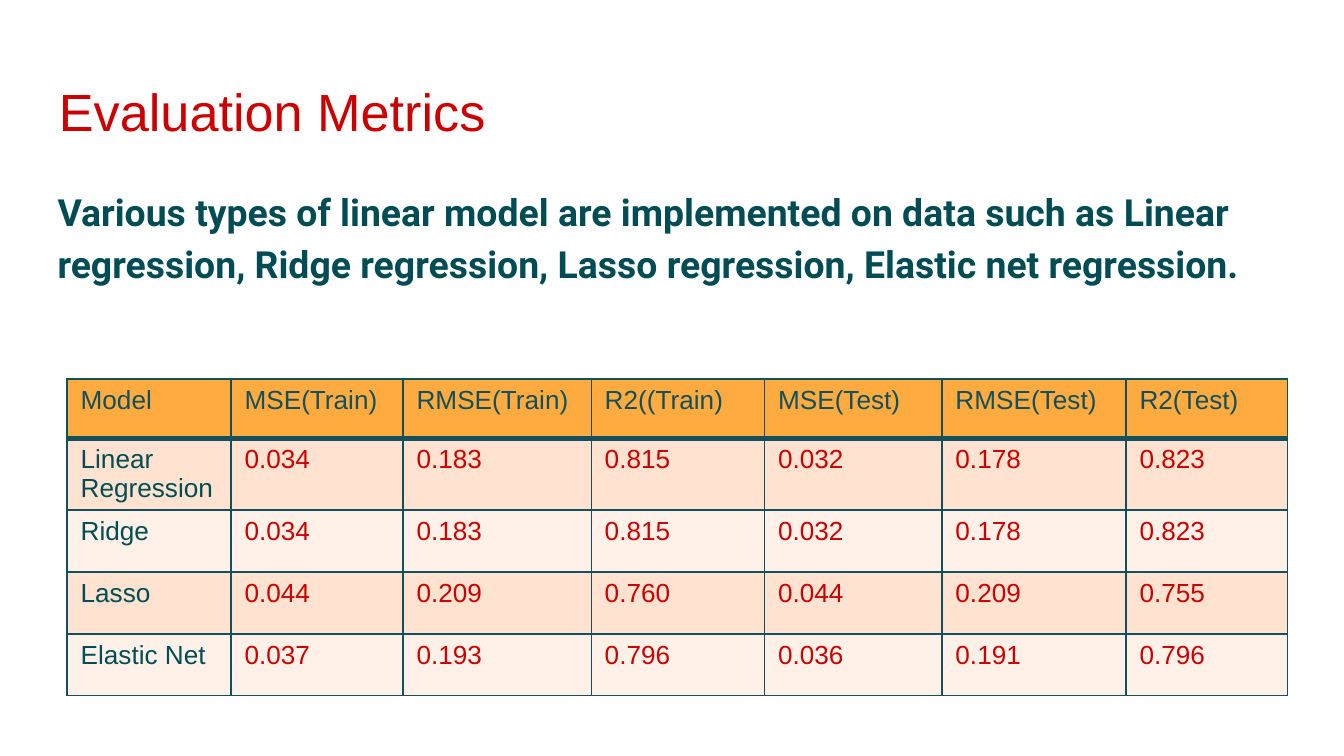
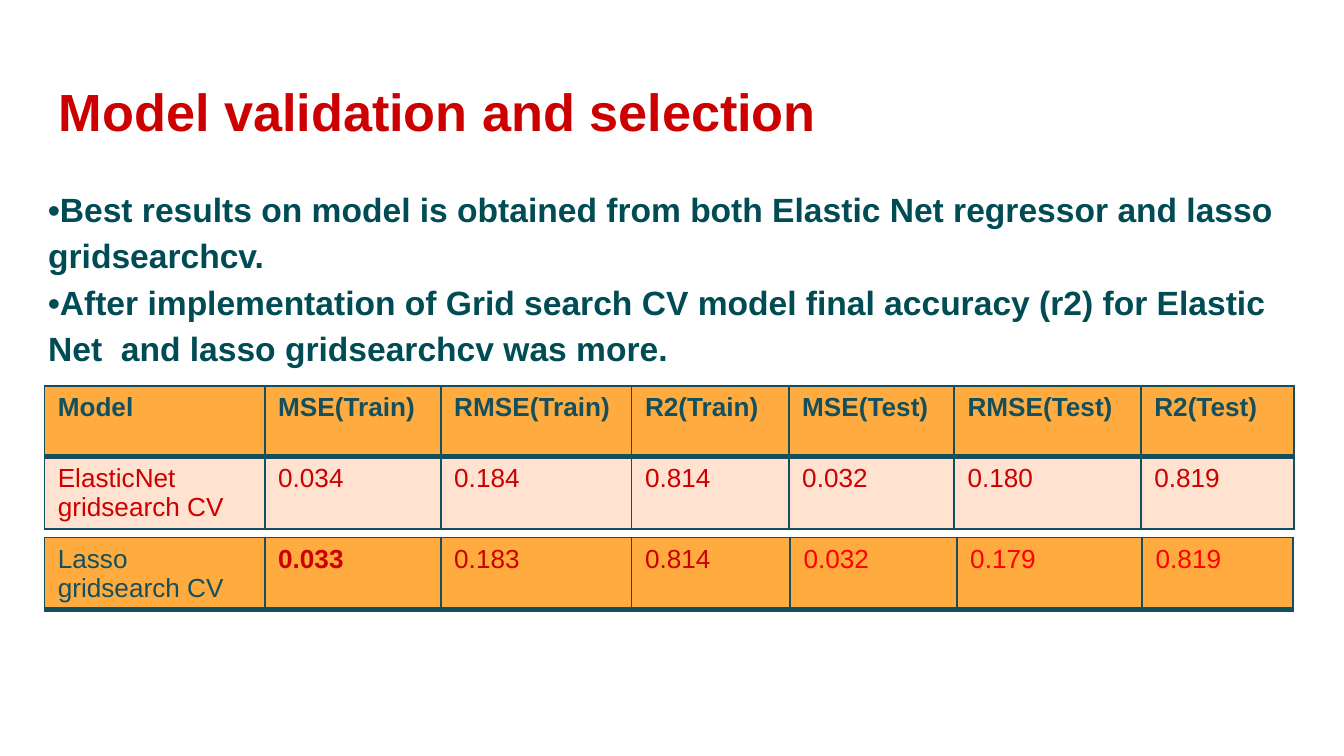
from lxml import etree
from pptx import Presentation
from pptx.dml.color import RGBColor
from pptx.enum.text import MSO_ANCHOR
from pptx.oxml.ns import qn
from pptx.util import Inches, Pt

COLORS = {
    "background": "FFFFFF",
    "title": "CC0000",
    "body": "004C54",
    "border": "134F5C",
    "header": "FFAB40",
    "dark_band": "FFE2CF",
    "light_band": "FFF1E8",
    "highlight": "FF0000",
}
BORDER_TAGS = ("a:lnL", "a:lnR", "a:lnT", "a:lnB")
THIN, THICK = 1, 3

METRICS = ["MSE(Train)", "RMSE(Train)", "R2(Train)", "MSE(Test)", "RMSE(Test)", "R2(Test)"]
MODEL_HEADER = ["Model", "MSE(Train)", "RMSE(Train)", "R2((Train)", *METRICS[3:]]
MODEL_ROWS = [
    ["Linear Regression", "0.034", "0.183", "0.815", "0.032", "0.178", "0.823"],
    ["Ridge", "0.034", "0.183", "0.815", "0.032", "0.178", "0.823"],
    ["Lasso", "0.044", "0.209", "0.760", "0.044", "0.209", "0.755"],
    ["Elastic Net", "0.037", "0.193", "0.796", "0.036", "0.191", "0.796"],
]
ELASTIC_NET_ROW = ["ElasticNet\ngridsearch CV", "0.034", "0.184", "0.814", "0.032", "0.180", "0.819"]
LASSO_ROW = ["Lasso gridsearch CV", "0.033", "0.183", "0.814", "0.032", "0.179", "0.819"]


def rgb(name):
    return RGBColor.from_string(COLORS[name])


def format_text(text_frame, size, color, bold=False, font="Arial"):
    for paragraph in text_frame.paragraphs:
        for run in paragraph.runs:
            run.font.name = font
            run.font.size = Pt(size)
            run.font.bold = bold
            run.font.color.rgb = rgb(color)


def add_text(slide, box, text, size, color, bold=False, font="Arial", line_spacing=None):
    shape = slide.shapes.add_textbox(*map(Inches, box))
    text_frame = shape.text_frame
    text_frame.word_wrap = True
    text_frame.vertical_anchor = MSO_ANCHOR.TOP
    text_frame.margin_left = text_frame.margin_right = Inches(0.1)
    text_frame.margin_top = text_frame.margin_bottom = Inches(0.1)
    text_frame.text = text
    format_text(text_frame, size, color, bold, font)
    for paragraph in text_frame.paragraphs:
        paragraph.line_spacing = line_spacing
    return shape


def add_title(slide, text, bold=False):
    add_text(slide, (0.34, 0.49, 9.32, 0.63), text, 28, "title", bold)


def add_body(slide, box, text, size, font="Arial"):
    shape = add_text(slide, box, text, size, "body", True, font, 1.15)
    for paragraph in shape.text_frame.paragraphs:
        properties = paragraph._p.get_or_add_pPr()
        properties.set("marL", str(Inches(0.12)))
        properties.set("indent", "0")


def set_borders(cell, top, bottom):
    properties = cell._tc.get_or_add_tcPr()
    for position, (tag, width) in enumerate(zip(BORDER_TAGS, (THIN, THIN, top, bottom))):
        line = etree.Element(qn(tag), w=str(Pt(width)))
        fill = etree.SubElement(line, qn("a:solidFill"))
        etree.SubElement(fill, qn("a:srgbClr"), val=COLORS["border"])
        properties.insert(position, line)


def add_table(slide, left, top, column_widths, row_heights):
    frame = slide.shapes.add_table(
        len(row_heights), len(column_widths), Inches(left), Inches(top),
        Inches(sum(column_widths)), Inches(sum(row_heights)),
    )
    table = frame.table
    for column, width in zip(table.columns, column_widths):
        column.width = Inches(width)
    for row, height in zip(table.rows, row_heights):
        row.height = Inches(height)
    return table


def fill_row(table, row_index, texts, fill, colors, bold=(), top=THIN, bottom=THIN):
    for column_index, (text, color) in enumerate(zip(texts, colors)):
        cell = table.cell(row_index, column_index)
        cell.text_frame.text = text
        cell.margin_bottom = Inches(0.02)
        format_text(cell.text_frame, 14, color, column_index in bold)
        cell.fill.solid()
        cell.fill.fore_color.rgb = rgb(fill)
        set_borders(cell, top, bottom)


def add_slide(presentation):
    slide = presentation.slides.add_slide(presentation.slide_layouts[6])
    slide.background.fill.solid()
    slide.background.fill.fore_color.rgb = rgb("background")
    return slide


def add_metrics_slide(presentation):
    slide = add_slide(presentation)
    add_title(slide, "Evaluation Metrics")
    add_body(
        slide, (0.21, 1.26, 9.63, 4.25),
        "Various types of linear model are implemented on data such as Linear regression, "
        "Ridge regression, Lasso regression, Elastic net regression.",
        20, "Roboto",
    )
    table = add_table(
        slide, 0.5, 2.82, [1.22, 1.28, 1.4, 1.29, 1.32, 1.37, 1.2], [0.44] + [0.46] * 4
    )
    fill_row(table, 0, MODEL_HEADER, "header", ["border"] * 7, bottom=THICK)
    for index, texts in enumerate(MODEL_ROWS, start=1):
        band = "dark_band" if index % 2 else "light_band"
        top = THICK if index == 1 else THIN
        fill_row(table, index, texts, band, ["body"] + ["title"] * 6, top=top)


def add_validation_slide(presentation):
    slide = add_slide(presentation)
    add_title(slide, "Model validation and selection", bold=True)
    add_body(
        slide, (0.14, 1.26, 9.63, 3.53),
        "•Best results on model is obtained from both Elastic Net regressor and lasso gridsearchcv.\n"
        "•After implementation of Grid search CV model final accuracy (r2) for Elastic Net  "
        "and lasso gridsearchcv was more.",
        18,
    )
    table = add_table(slide, 0.33, 2.87, [1.64, 1.31, 1.42, 1.17, 1.23, 1.39, 1.14], [0.53, 0.53])
    fill_row(table, 0, ["Model", *METRICS], "header", ["border"] * 7, range(7), bottom=THICK)
    fill_row(table, 1, ELASTIC_NET_ROW, "dark_band", ["title"] * 7, top=THICK)
    table = add_table(slide, 0.33, 4, [1.64, 1.31, 1.42, 1.18, 1.24, 1.38, 1.12], [0.53])
    lasso_colors = ["border"] + ["title"] * 3 + ["highlight"] * 3
    fill_row(table, 0, LASSO_ROW, "header", lasso_colors, bold=[1], bottom=THICK)


def main():
    presentation = Presentation()
    presentation.slide_width = Inches(10)
    presentation.slide_height = presentation.slide_width * 9 // 16
    add_metrics_slide(presentation)
    add_validation_slide(presentation)
    presentation.save("out.pptx")


if __name__ == "__main__":
    main()
